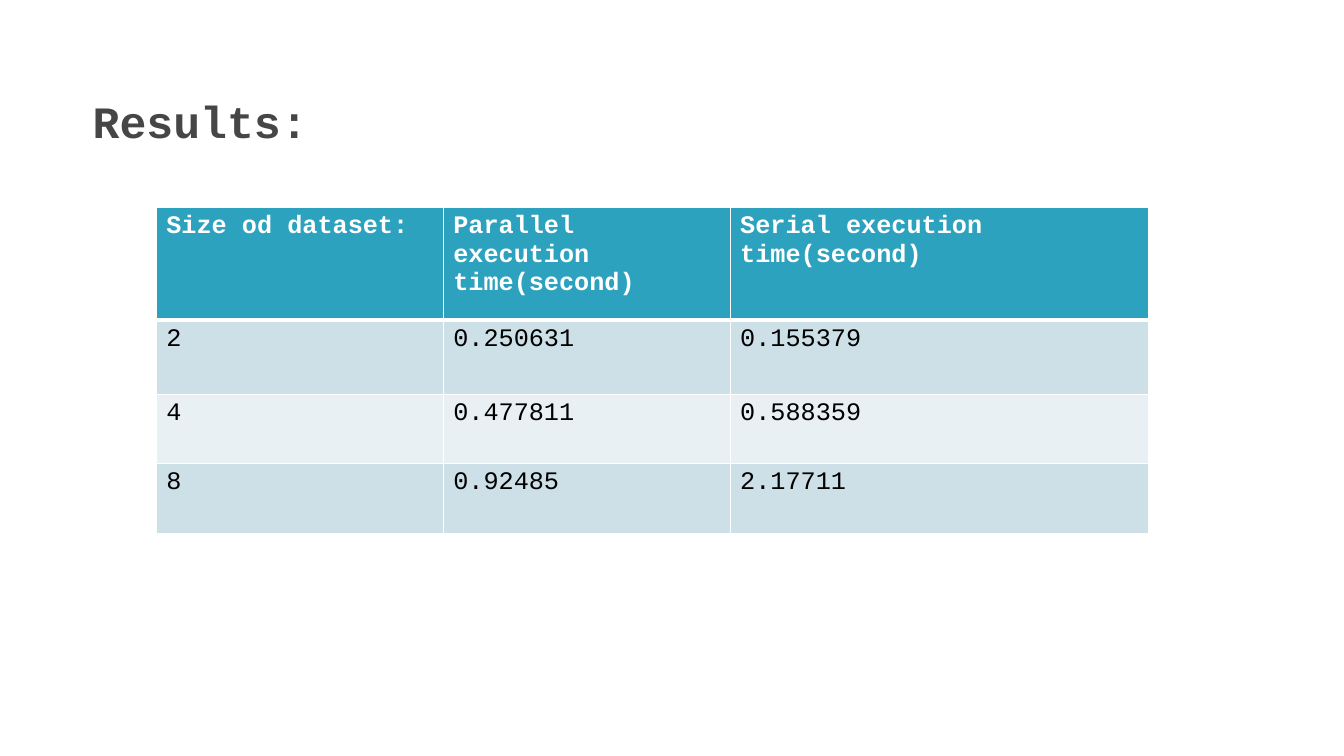
from lxml.etree import SubElement
from pptx import Presentation
from pptx.dml.color import RGBColor
from pptx.enum.text import MSO_ANCHOR, PP_ALIGN
from pptx.oxml.ns import qn
from pptx.util import Pt

RESULTS = [
    ("Size od dataset:", "Parallel execution time(second)", "Serial execution time(second)"),
    ("2", "0.250631", "0.155379"),
    ("4", "0.477811", "0.588359"),
    ("8", "0.92485", "2.17711"),
]
COLUMN_WIDTHS = (205, 205, 299)
ROW_HEIGHTS = (80.5, 52.8, 49.5, 50.4)


def rgb(code):
    return RGBColor.from_string(code)


class ResultsSlide:
    font = "Courier New"
    title_color = "464646"
    header_fill = "2DA2BF"
    band_fills = ("CDE0E8", "E8F0F4")
    white = "FFFFFF"
    black = "000000"

    def __init__(self, deck):
        self.slide = deck.slides.add_slide(deck.slide_layouts[5])

    def add_text(self, frame, text, size, color, bold):
        run = frame.paragraphs[0].add_run()
        run.text = text
        run.font.name = self.font
        run.font.size = Pt(size)
        run.font.bold = bold
        run.font.color.rgb = rgb(color)

    def add_title(self, text, left, top, width, height):
        title = self.slide.shapes.title
        title.left, title.top = Pt(left), Pt(top)
        title.width, title.height = Pt(width), Pt(height)
        frame = title.text_frame
        frame.vertical_anchor = MSO_ANCHOR.MIDDLE
        frame.paragraphs[0].alignment = PP_ALIGN.LEFT
        self.add_text(frame, text, 32, self.title_color, True)

    def draw_borders(self, cell, top, bottom):
        """Draw white edges; top and bottom are line widths in points."""
        properties = cell._tc.get_or_add_tcPr()
        for edge, width in (("L", 1), ("R", 1), ("T", top), ("B", bottom)):
            line = SubElement(properties, qn(f"a:ln{edge}"), w=str(Pt(width)))
            fill = SubElement(line, qn("a:solidFill"))
            SubElement(fill, qn("a:srgbClr"), val=self.white)

    def add_table(self, rows, left, top, widths, heights):
        table = self.slide.shapes.add_table(
            len(rows), len(widths), Pt(left), Pt(top), Pt(sum(widths)), Pt(sum(heights))
        ).table
        for column, width in zip(table.columns, widths):
            column.width = Pt(width)
        for index, (row, height, values) in enumerate(zip(table.rows, heights, rows)):
            row.height = Pt(height)
            header = index == 0
            fill = self.header_fill if header else self.band_fills[(index - 1) % 2]
            for cell, value in zip(row.cells, values):
                self.draw_borders(cell, 3 if index == 1 else 1, 3 if header else 1)
                cell.fill.solid()
                cell.fill.fore_color.rgb = rgb(fill)
                self.add_text(cell.text_frame, value, 18, self.white if header else self.black, header)


def main():
    deck = Presentation()
    deck.slide_width, deck.slide_height = Pt(960), Pt(540)
    results = ResultsSlide(deck)
    results.add_title("Results:", 59, 36.7, 211, 99.4)
    results.add_table(RESULTS, 111.6, 148.3, COLUMN_WIDTHS, ROW_HEIGHTS)
    deck.save("out.pptx")


if __name__ == "__main__":
    main()
